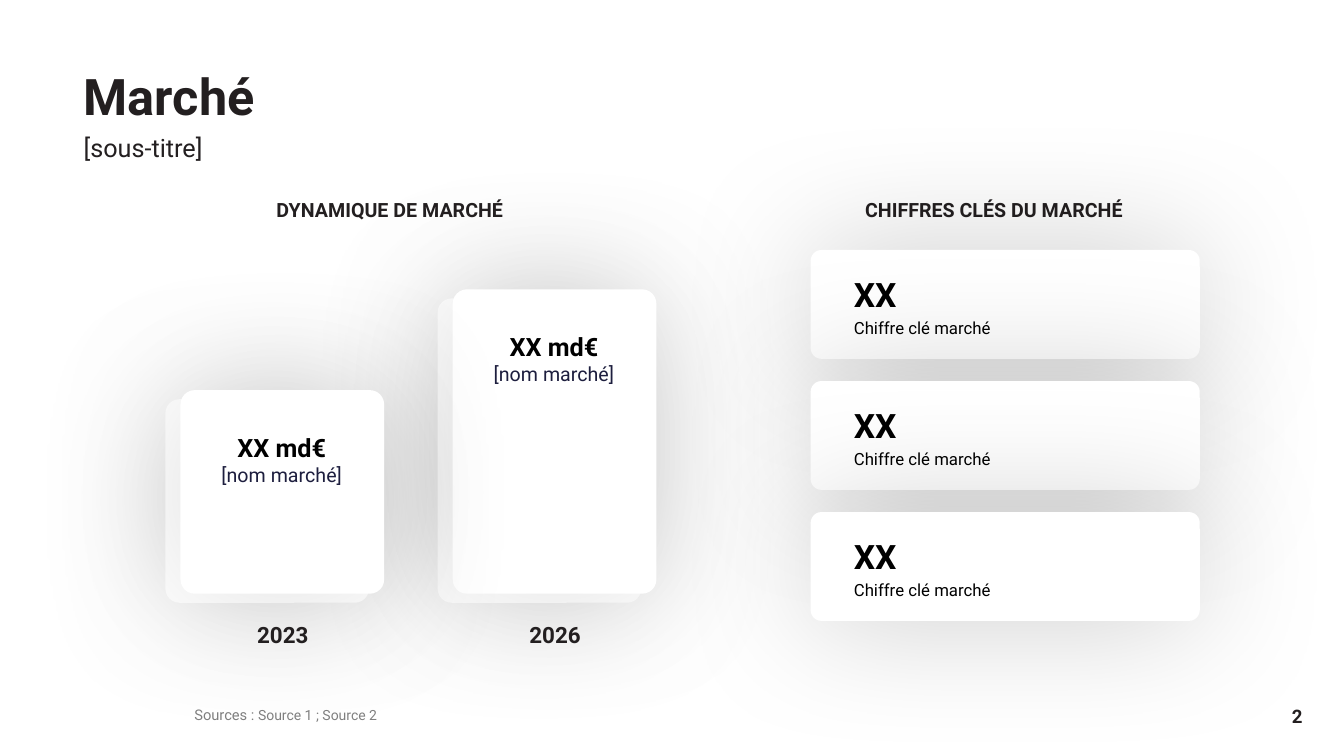
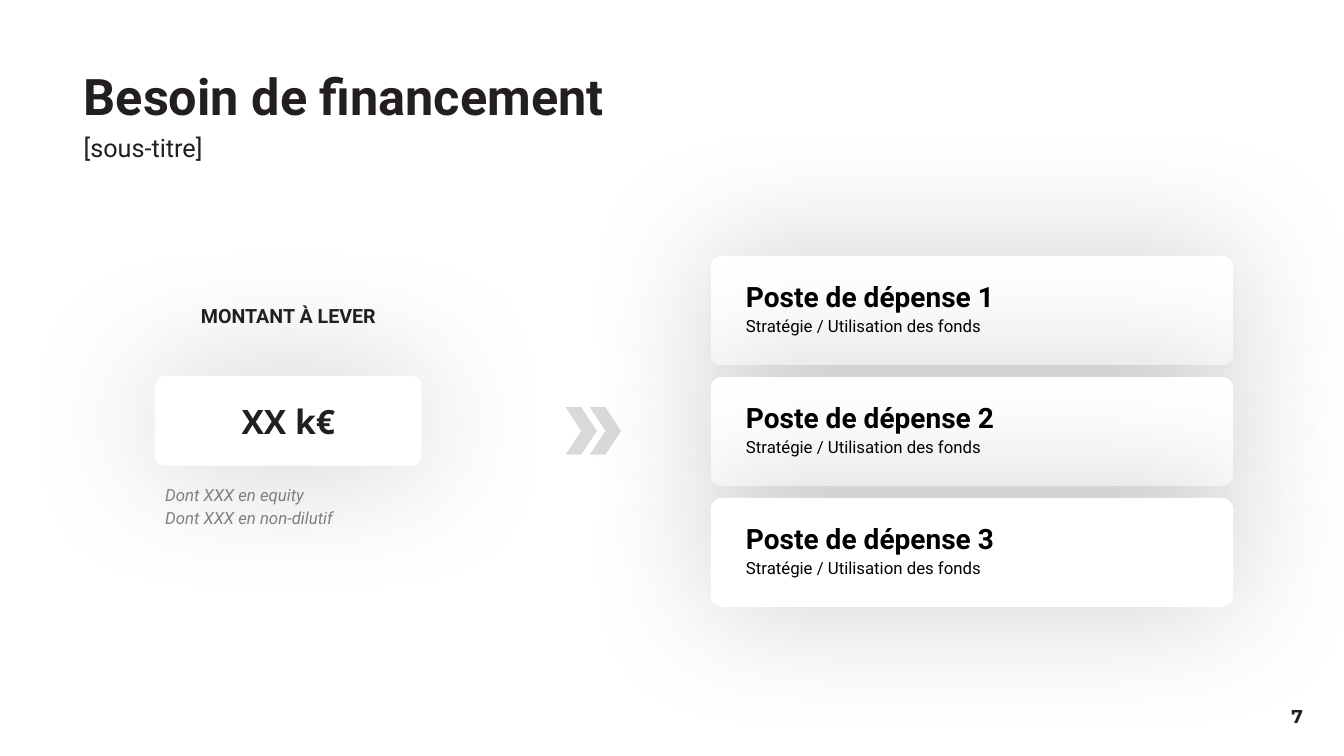
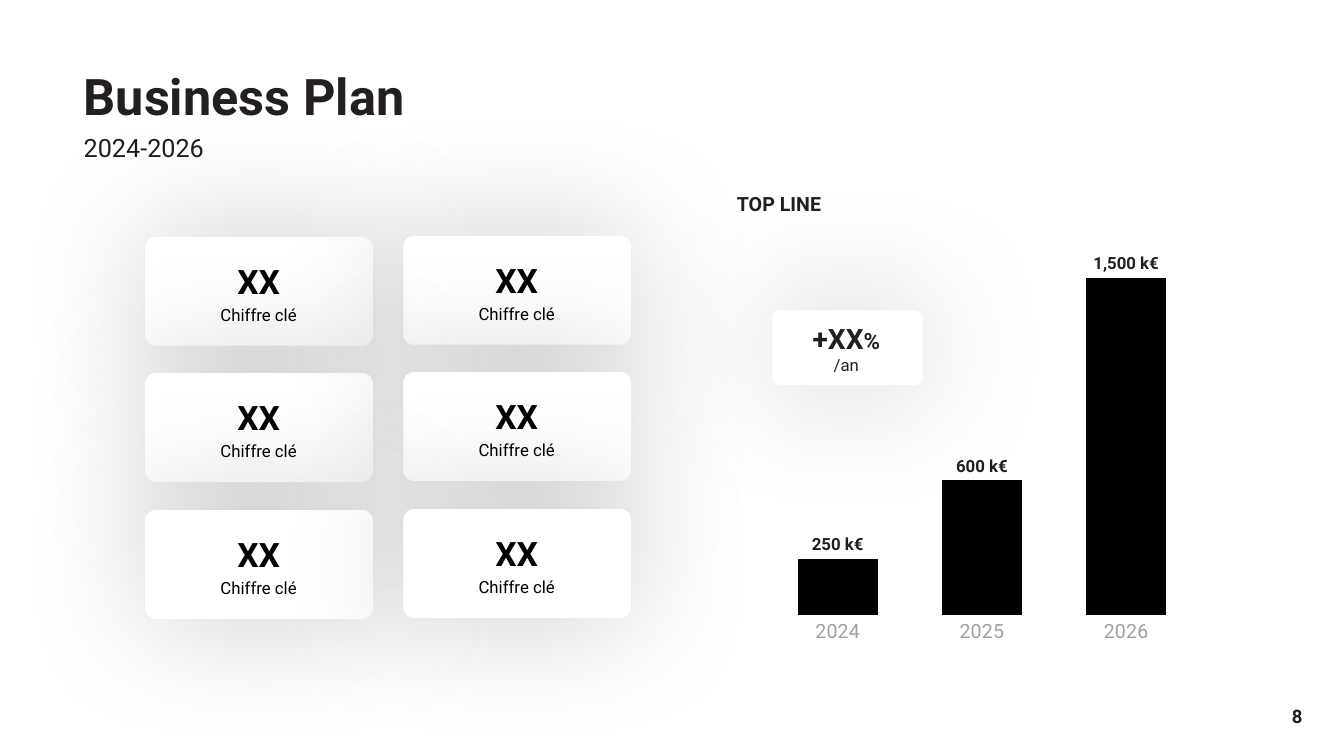
"""Build three pitch slides: market, funding need and business plan."""
from dataclasses import dataclass

from lxml.etree import SubElement
from pptx import Presentation
from pptx.chart.data import CategoryChartData
from pptx.dml.color import RGBColor
from pptx.enum.chart import XL_CHART_TYPE, XL_LABEL_POSITION, XL_TICK_LABEL_POSITION, XL_TICK_MARK
from pptx.enum.shapes import MSO_SHAPE
from pptx.enum.text import MSO_ANCHOR, MSO_AUTO_SIZE, PP_ALIGN
from pptx.oxml import parse_xml
from pptx.oxml.ns import nsdecls, qn
from pptx.util import Emu, Pt

EMU_PER_PX = 9144
INK = "231F20"
BLACK = "000000"
WHITE = "FFFFFF"
GREY = "808080"
AXIS_GREY = "9CA1A6"
CHEVRON_GREY = "D9D9D9"
NAVY = "1D1E3E"
FONT = "Roboto"
CENTER = PP_ALIGN.CENTER
MIDDLE = MSO_ANCHOR.MIDDLE
DEFAULT_INSETS = (10, 5)
LABEL_INSETS = (7, 4)
CARD_INSETS = (10, 10)
CARD_HEIGHT = 108
CARD_LINE_SPACING = 1.15


@dataclass
class Line:
    """One paragraph; the tail is a second run with its own size."""
    text: str
    size: float
    color: str = INK
    bold: bool = False
    italic: bool = False
    font: str = FONT
    tail: str = ""
    tail_size: float = 0


def px(length):
    """Turn px into EMU."""
    return Emu(length * EMU_PER_PX)


def rgb(value):
    """Turn a hex string into a colour."""
    return RGBColor.from_string(value)


def style_font(font, size, color, bold=False, italic=False, name=FONT):
    """Set every property of a font."""
    font.name = name
    font.size = Pt(size)
    font.bold = bold
    font.italic = italic
    font.color.rgb = rgb(color)


def write_line(paragraph, line, align=PP_ALIGN.LEFT, spacing=1.0):
    """Write a line into a paragraph."""
    paragraph.alignment = align
    paragraph.line_spacing = spacing
    paragraph.space_before = Pt(0)
    style_font(paragraph.font, line.size, line.color, line.bold, line.italic, line.font)
    paragraph.add_run().text = line.text
    if line.tail:
        run = paragraph.add_run()
        run.text = line.tail
        run.font.size = Pt(line.tail_size)


def add_text(slide, box, lines, align=PP_ALIGN.LEFT, anchor=MSO_ANCHOR.TOP,
             insets=DEFAULT_INSETS, spacing=1.0):
    """Add a wrapped text box."""
    frame = slide.shapes.add_textbox(*map(px, box)).text_frame
    frame.word_wrap = True
    frame.vertical_anchor = anchor
    frame.margin_left = frame.margin_right = px(insets[0])
    frame.margin_top = frame.margin_bottom = px(insets[1])
    for index, line in enumerate(lines):
        paragraph = frame.add_paragraph() if index else frame.paragraphs[0]
        write_line(paragraph, line, align, spacing)


def add_shape(slide, kind, box, color):
    """Add a filled preset shape without a line or shadow."""
    shape = slide.shapes.add_shape(kind, *map(px, box))
    shape.fill.solid()
    shape.fill.fore_color.rgb = rgb(color)
    shape.line.fill.background()
    shape.shadow.inherit = False
    return shape


def add_card(slide, box, radius=0.1, opacity=20):
    """Add a white rounded card with a wide soft shadow."""
    card = add_shape(slide, MSO_SHAPE.ROUNDED_RECTANGLE, box, WHITE)
    card.adjustments[0] = radius
    effects = card._element.spPr.find(qn("a:effectLst"))
    shadow = SubElement(effects, qn("a:outerShdw"), blurRad=str(Pt(100)),
                        algn="ctr", rotWithShape="0")
    color = SubElement(shadow, qn("a:srgbClr"), val=BLACK)
    SubElement(color, qn("a:alpha"), val=str(opacity * 1000))


def add_fact_card(slide, left, top, width, text_box, headline, caption,
                  size=24, align=PP_ALIGN.LEFT):
    """Add a card with a headline and a caption."""
    add_card(slide, (left, top, width, CARD_HEIGHT))
    offset, text_width = text_box
    add_text(slide, (left + offset, top + 8, text_width, 90),
             [Line(headline, size, BLACK, True), Line(caption, 12, BLACK)],
             align, insets=CARD_INSETS, spacing=CARD_LINE_SPACING)


def add_label(slide, box, text, align=PP_ALIGN.LEFT, anchor=MIDDLE):
    """Add a bold section label."""
    add_text(slide, box, [Line(text, 14, bold=True)], align, anchor, LABEL_INSETS)


def fill_placeholder(shape, box, line):
    """Move a placeholder and write its single line."""
    shape.left, shape.top, shape.width, shape.height = map(px, box)
    frame = shape.text_frame
    frame.auto_size = MSO_AUTO_SIZE.NONE
    frame.vertical_anchor = MSO_ANCHOR.TOP
    paragraph = frame.paragraphs[0]
    properties = paragraph._p.get_or_add_pPr()
    properties.set("marL", "0")
    properties.set("indent", "0")
    SubElement(properties, qn("a:buNone"))
    write_line(paragraph, line)


def add_base_slide(presentation, title, subtitle, number, number_font=FONT):
    """Add a slide with title, subtitle and page number."""
    slide = presentation.slides.add_slide(presentation.slide_layouts[1])
    fill_placeholder(slide.shapes.title, (73, 60, 1150, 64), Line(title, 36, bold=True))
    fill_placeholder(slide.placeholders[1], (73, 126, 1150, 54), Line(subtitle, 18))
    add_text(slide, (1257, 690, 59, 40),
             [Line(number, 13.3, bold=True, font=number_font)], CENTER, MIDDLE)
    return slide


def add_market_bar(slide, left, top, year):
    """Add a doubled card used as a bar, with its value and year."""
    height = 589 - top
    for x, y in ((left - 15, top + 9), (left, top)):
        add_card(slide, (x, y, 202, height), 0.07, 13)
    add_text(slide, (left + 2, top + 37, 197, 54),
             [Line("XX md€", 18, BLACK, True), Line("[nom marché]", 14, NAVY)], CENTER)
    add_text(slide, (left + 7, 611, 189, 28), [Line(year, 16, bold=True)], CENTER)


def add_revenue_chart(slide, box):
    """Add the revenue column chart."""
    data = CategoryChartData()
    data.categories = ["2024", "2025", "2026"]
    data.add_series("Series 1", (250, 600, 1500))
    chart = slide.shapes.add_chart(XL_CHART_TYPE.COLUMN_CLUSTERED, *map(px, box), data).chart
    chart.has_legend = False
    chart.has_title = False
    style_font(chart.font, 10, WHITE, name="Open Sans")

    years = chart.category_axis
    years.major_tick_mark = XL_TICK_MARK.NONE
    years.format.line.color.rgb = rgb(WHITE)
    years.format.line.width = Pt(0.75)
    style_font(years.tick_labels.font, 14, AXIS_GREY)

    amounts = chart.value_axis
    amounts.minimum_scale = 0
    amounts.maximum_scale = 1600
    amounts.has_major_gridlines = False
    amounts.major_tick_mark = XL_TICK_MARK.NONE
    amounts.tick_label_position = XL_TICK_LABEL_POSITION.NONE
    amounts.format.line.fill.background()

    plot = chart.plots[0]
    plot.gap_width = 80
    plot.vary_by_categories = False
    fill = plot.series[0].format.fill
    fill.solid()
    fill.fore_color.rgb = rgb(BLACK)
    plot.has_data_labels = True
    labels = plot.data_labels
    labels.show_value = True
    labels.position = XL_LABEL_POSITION.OUTSIDE_END
    labels.number_format = '#,##0" k€"'
    labels.number_format_is_linked = False
    style_font(labels.font, 12, INK, True)
    place_plot(chart, x=0.06, y=0.08, w=0.94, h=0.8)


def place_plot(chart, **fractions):
    """Fix the inner plot area as fractions of the chart."""
    area = chart._chartSpace.chart.plotArea
    for old in area.findall(qn("c:layout")):
        area.remove(old)
    modes = '<c:layoutTarget val="inner"/><c:xMode val="edge"/><c:yMode val="edge"/>'
    values = "".join(f'<c:{name} val="{value}"/>' for name, value in fractions.items())
    area.insert(0, parse_xml(f'<c:layout {nsdecls("c")}><c:manualLayout>{modes}{values}'
                             '</c:manualLayout></c:layout>'))


def build_market(presentation):
    """Build the market slide."""
    slide = add_base_slide(presentation, "Marché", "[sous-titre]", "2")
    add_text(slide, (183, 695, 862, 28),
             [Line("Sources : ", 10.5, GREY, tail="Source 1 ; Source 2", tail_size=10)])
    add_label(slide, (851, 190, 302, 37), "CHIFFRES CLÉS DU MARCHÉ")
    for row in range(3):
        add_fact_card(slide, 804, 248 + row * 130, 386, (33, 321), "XX", "Chiffre clé marché")
    add_market_bar(slide, 449, 287, "2026")
    add_market_bar(slide, 179, 387, "2023")
    add_label(slide, (267, 190, 302, 37), "DYNAMIQUE DE MARCHÉ")


def build_funding(presentation):
    """Build the funding slide."""
    slide = add_base_slide(presentation, "Besoin de financement", "[sous-titre]", "7", "Montserrat")
    for left in (585, 561):
        add_shape(slide, MSO_SHAPE.CHEVRON, (left, 404, 31, 47), CHEVRON_GREY)
    for row in range(3):
        add_fact_card(slide, 705, 254 + row * 120, 518, (25, 492),
                      f"Poste de dépense {row + 1}", "Stratégie / Utilisation des fonds", 20)
    add_card(slide, (154, 373, 264, 89))
    add_text(slide, (222, 393, 128, 49), [Line("XX k€", 24, bold=True, font="Open Sans")],
             CENTER, MIDDLE, LABEL_INSETS)
    add_label(slide, (85, 298, 402, 44), "MONTANT À LEVER", CENTER, MSO_ANCHOR.TOP)
    add_text(slide, (154, 468, 352, 90),
             [Line(text, 12, GREY, italic=True)
              for text in ("Dont XXX en equity", "Dont XXX en non-dilutif")],
             insets=CARD_INSETS, spacing=CARD_LINE_SPACING)


def build_plan(presentation):
    """Build the business plan slide."""
    slide = add_base_slide(presentation, "Business Plan", "2024-2026", "8")
    add_text(slide, (721, 186, 591, 34), [Line("TOP LINE", 14, bold=True)])
    add_revenue_chart(slide, (732, 218, 457, 446))
    add_card(slide, (766, 308, 149, 74))
    add_text(slide, (786, 313, 107, 65),
             [Line("+XX", 20, bold=True, tail="%", tail_size=16), Line("/an", 12)],
             CENTER, MIDDLE, (0, 0))
    for row in range(3):
        for left, top in ((144, 235), (400, 234)):
            add_fact_card(slide, left, top + row * 271 // 2, 226, (3, 219),
                          "XX", "Chiffre clé", align=CENTER)


def main():
    """Build and save the presentation."""
    presentation = Presentation()
    presentation.slide_width = px(1333)
    presentation.slide_height = px(750)
    build_market(presentation)
    build_funding(presentation)
    build_plan(presentation)
    presentation.save("out.pptx")


if __name__ == "__main__":
    main()
